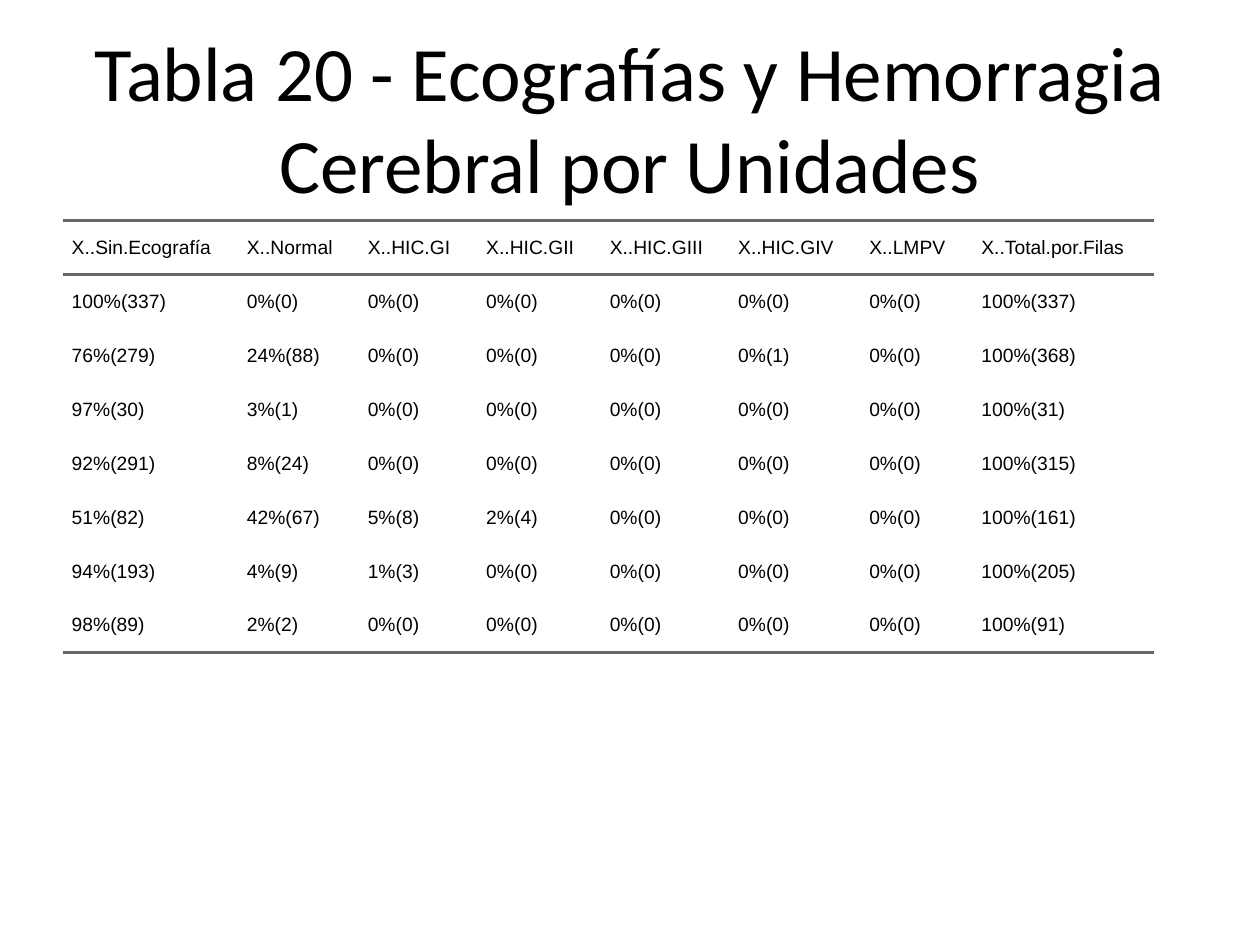
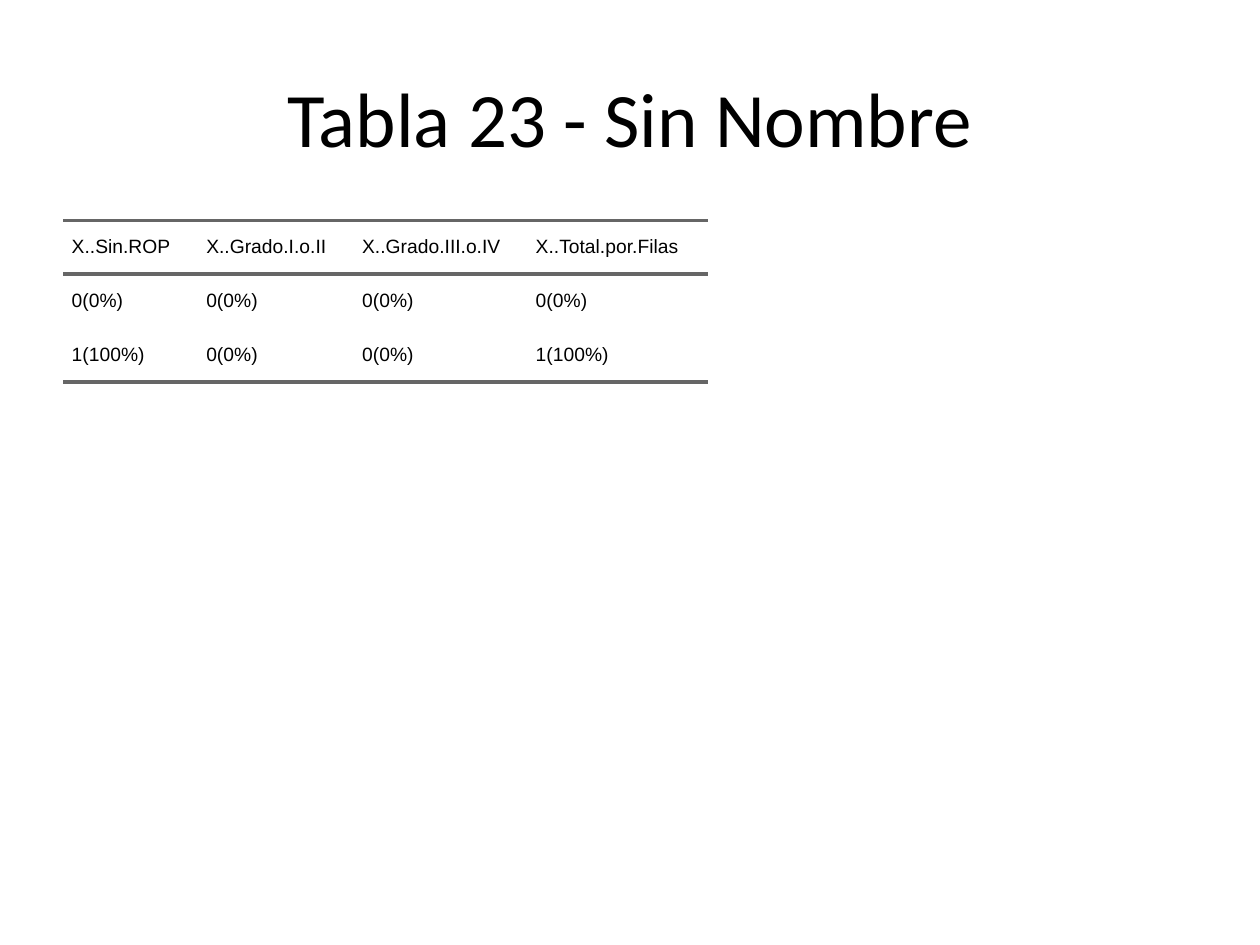
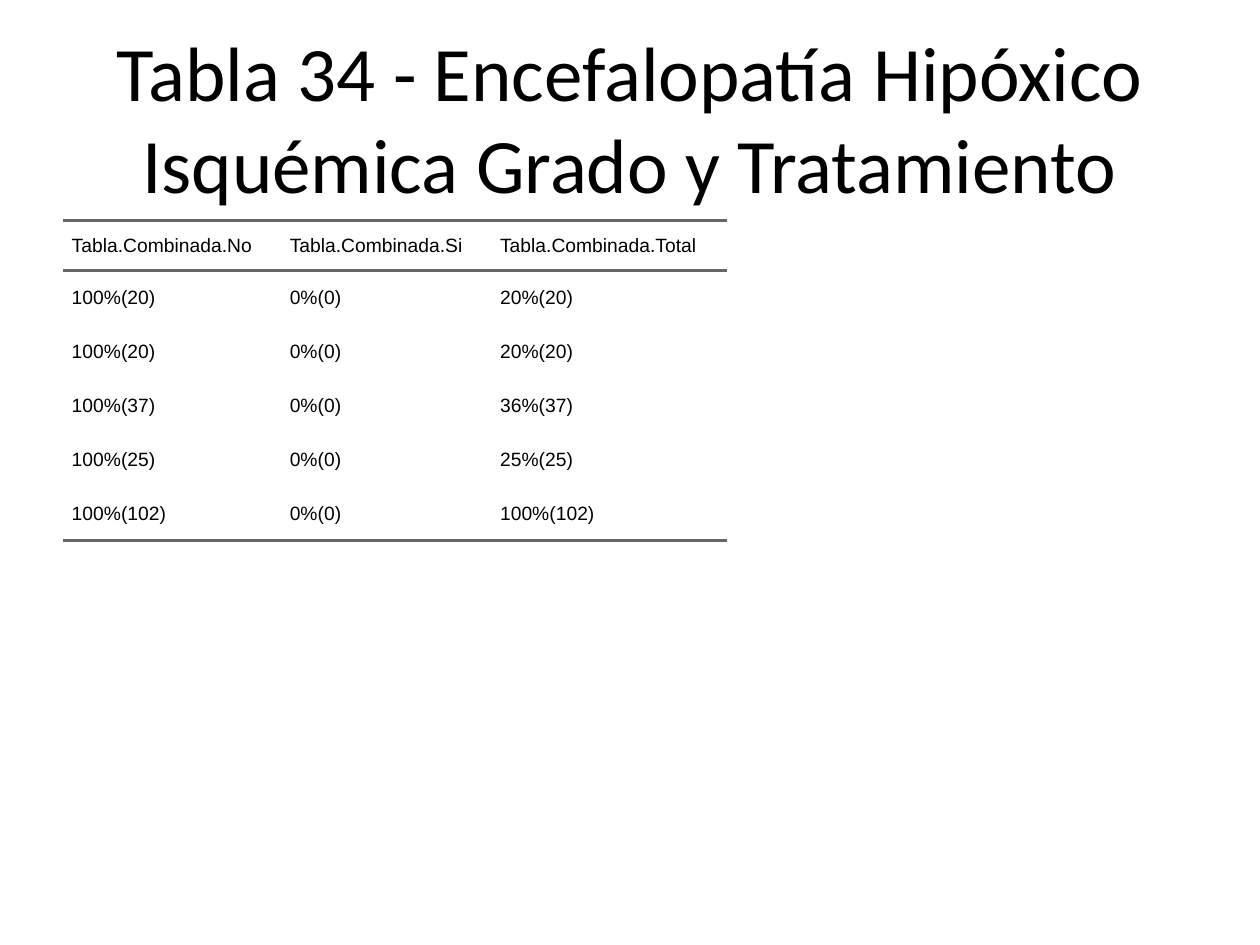
from lxml import etree
from pptx import Presentation
from pptx import util as u
from pptx.dml import color
from pptx.enum import text
from pptx.oxml import ns

ZERO = "0%(0)"
TABLES = [
    {
        "title": "Tabla 20 - Ecografías y Hemorragia Cerebral por Unidades",
        "columns": [("X..Sin.Ecografía", 100.1), ("X..Normal", 69.1),
                    ("X..HIC.GI", 67.7), ("X..HIC.GII", 70.6),
                    ("X..HIC.GIII", 73.4), ("X..HIC.GIV", 74.9),
                    ("X..LMPV", 64.1), ("X..Total.por.Filas", 103.7)],
        "header_height": 30.86,
        "rows": [
            ["100%(337)", ZERO, ZERO, ZERO, ZERO, ZERO, ZERO, "100%(337)"],
            ["76%(279)", "24%(88)", ZERO, ZERO, ZERO, "0%(1)", ZERO, "100%(368)"],
            ["97%(30)", "3%(1)", ZERO, ZERO, ZERO, ZERO, ZERO, "100%(31)"],
            ["92%(291)", "8%(24)", ZERO, ZERO, ZERO, ZERO, ZERO, "100%(315)"],
            ["51%(82)", "42%(67)", "5%(8)", "2%(4)", ZERO, ZERO, ZERO, "100%(161)"],
            ["94%(193)", "4%(9)", "1%(3)", ZERO, ZERO, ZERO, ZERO, "100%(205)"],
            ["98%(89)", "2%(2)", ZERO, ZERO, ZERO, ZERO, ZERO, "100%(91)"],
        ],
    },
    {
        "title": "Tabla 23 - Sin Nombre",
        "columns": [("X..Sin.ROP", 76.9), ("X..Grado.I.o.II", 89.1),
                    ("X..Grado.III.o.IV", 99.2), ("X..Total.por.Filas", 103.7)],
        "header_height": 30.6,
        "rows": [
            ["0(0%)", "0(0%)", "0(0%)", "0(0%)"],
            ["1(100%)", "0(0%)", "0(0%)", "1(100%)"],
        ],
    },
    {
        "title": "Tabla 34 - Encefalopatía Hipóxico Isquémica Grado y Tratamiento",
        "columns": [("Tabla.Combinada.No", 124.6), ("Tabla.Combinada.Si", 120.2),
                    ("Tabla.Combinada.Total", 134.6)],
        "header_height": 28.6,
        "rows": [
            ["100%(20)", ZERO, "20%(20)"],
            ["100%(20)", ZERO, "20%(20)"],
            ["100%(37)", ZERO, "36%(37)"],
            ["100%(25)", ZERO, "25%(25)"],
            ["100%(102)", ZERO, "100%(102)"],
        ],
    },
]

THEME = {
    "ink": color.RGBColor.from_string("000000"),
    "rule": "666666",
    "rule_width": u.Pt(2),
    "title_font": {"name": "Calibri", "size": u.Pt(44)},
    "cell_font": {"name": "Arial", "size": u.Pt(11)},
    "cell_paragraph": {"space_before": u.Pt(5), "space_after": u.Pt(5)},
    "cell_indent": u.Pt(5),
    "row_height": 30.86,
    "plain_table_style": "{2D5ABB26-0587-4C30-8999-92F81FD0307C}",
}
SLIDE_SIZE = (720, 540)
TITLE_BOX = dict(left=u.Pt(36), top=u.Pt(21.6), width=u.Pt(648), height=u.Pt(90))
TABLE_BOX = dict(left=u.Pt(36), top=u.Pt(126), width=u.Pt(648), height=u.Pt(356.4))
CELL_LAYOUT = dict(margin_left=0, margin_right=0, margin_top=0, margin_bottom=0,
                   vertical_anchor=text.MSO_ANCHOR.MIDDLE)
TITLE_LAYOUT = 5


def apply_format(target, values):
    """Set every attribute named in values on target."""
    for name, value in values.items():
        setattr(target, name, value)


def write_text(paragraph, words, font):
    """Add one run of words in the given font and the ink colour."""
    run = paragraph.add_run()
    run.text = words
    apply_format(run.font, font)
    run.font.color.rgb = THEME["ink"]


def rule_cell(cell, edges):
    """Draw a rule on each edge, T (top) or B (bottom), of a cell."""
    properties = cell._tc.get_or_add_tcPr()
    for position, edge in enumerate(edges):
        line = etree.Element(ns.qn(f"a:ln{edge}"), w=str(THEME["rule_width"]))
        fill = etree.SubElement(line, ns.qn("a:solidFill"))
        etree.SubElement(fill, ns.qn("a:srgbClr"), val=THEME["rule"])
        properties.insert(position, line)


def fill_cell(cell, words, edges):
    """Write and format one table cell."""
    apply_format(cell, CELL_LAYOUT)
    cell.fill.background()
    paragraph = cell.text_frame.paragraphs[0]
    apply_format(paragraph, THEME["cell_paragraph"])
    properties = paragraph._p.get_or_add_pPr()
    properties.set("marL", str(THEME["cell_indent"]))
    properties.set("indent", "0")
    write_text(paragraph, words, THEME["cell_font"])
    rule_cell(cell, edges)


def add_title(slide, words):
    """Place the title placeholder and write it centred."""
    title = slide.shapes.title
    apply_format(title, TITLE_BOX)
    title.text_frame.vertical_anchor = text.MSO_ANCHOR.MIDDLE
    paragraph = title.text_frame.paragraphs[0]
    paragraph.alignment = text.PP_ALIGN.CENTER
    write_text(paragraph, words, THEME["title_font"])


def add_ruled_table(slide, content):
    """Add a table ruled above and below its header and at its foot."""
    headers, widths = zip(*content["columns"])
    lines = [headers, *content["rows"]]
    shape = slide.shapes.add_table(len(lines), len(headers), **TABLE_BOX)
    table = shape.table
    apply_format(table, {"first_row": False, "horz_banding": False})
    style = table._tbl.tblPr.find(ns.qn("a:tableStyleId"))
    style.text = THEME["plain_table_style"]
    for column, width in zip(table.columns, widths):
        column.width = u.Pt(width)
    for index, (row, values) in enumerate(zip(table.rows, lines)):
        is_header = index == 0
        row.height = u.Pt(content["header_height"] if is_header else THEME["row_height"])
        edges = "TB" if is_header else "B" if index == len(lines) - 1 else ""
        for cell, words in zip(row.cells, values):
            fill_cell(cell, words, edges)
    apply_format(shape, TABLE_BOX)


def build():
    """Build one slide for each table and save the presentation."""
    presentation = Presentation()
    presentation.slide_width, presentation.slide_height = map(u.Pt, SLIDE_SIZE)
    for content in TABLES:
        slide = presentation.slides.add_slide(presentation.slide_layouts[TITLE_LAYOUT])
        add_title(slide, content["title"])
        add_ruled_table(slide, content)
    presentation.save("out.pptx")


build()
